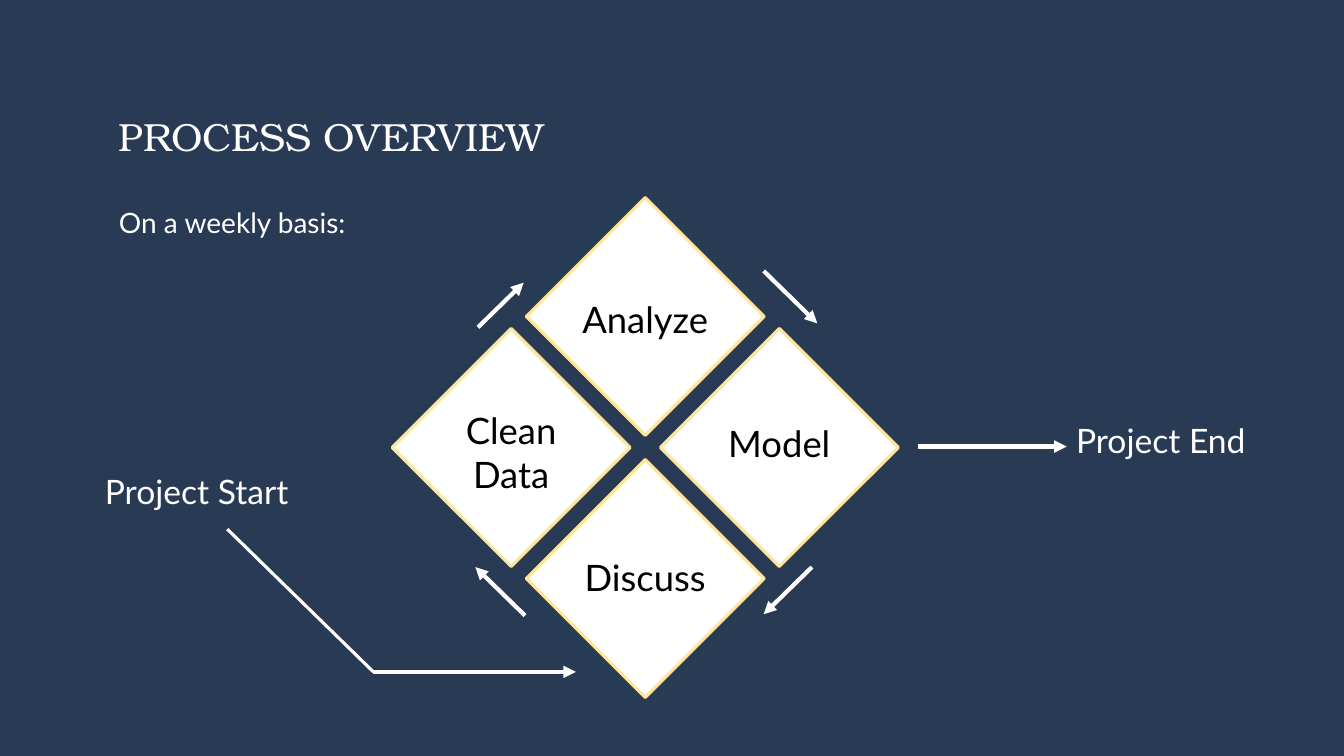
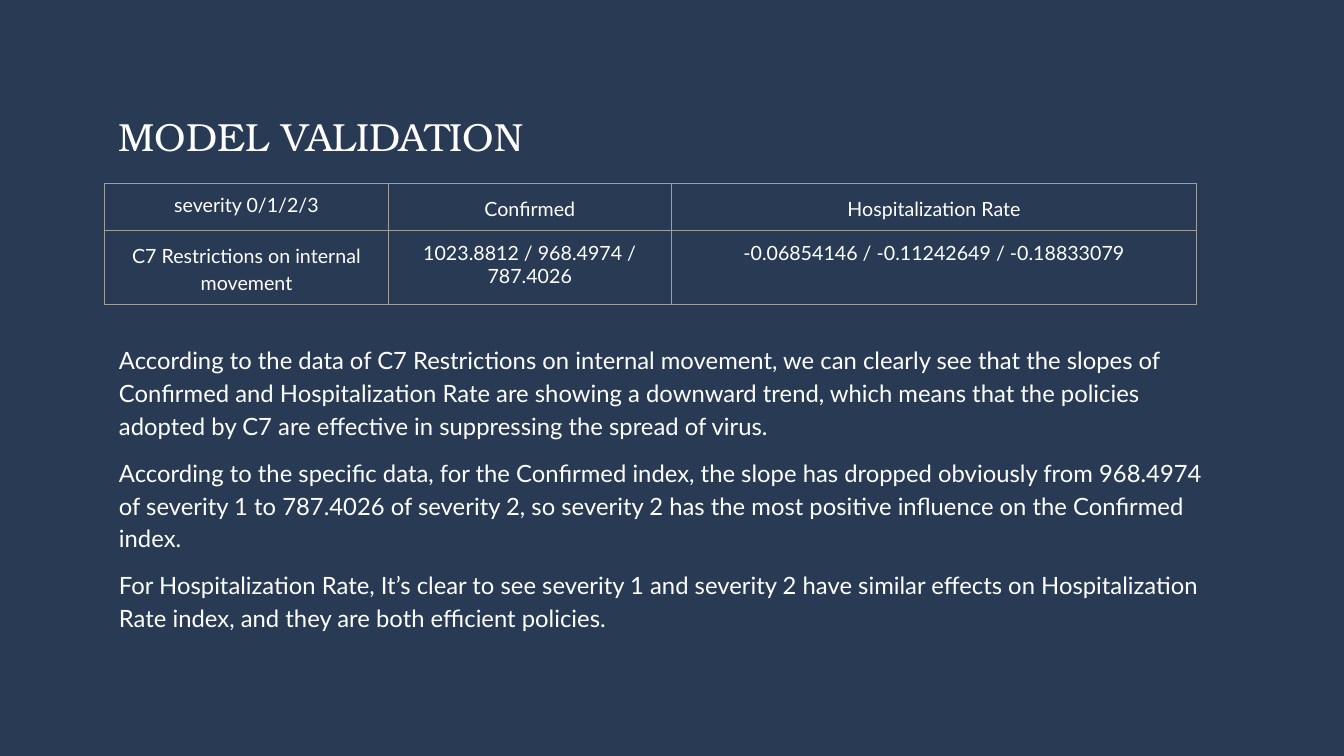
"""Build two slides: a weekly process cycle and a model validation table."""
import dataclasses
import typing

import lxml.etree
import pptx
import pptx.dml.color
import pptx.enum.shapes
import pptx.enum.text
import pptx.oxml.ns
import pptx.util

INCH = pptx.util.Inches
ALIGN = pptx.enum.text.PP_ALIGN
qn = pptx.oxml.ns.qn


@dataclasses.dataclass(frozen=True)
class Theme:
    """Colours, fonts and type sizes of the deck."""
    back: str = "293A54"
    white: str = "FFFFFF"
    black: str = "000000"
    gold: str = "FFE599"
    gray: str = "9E9E9E"
    serif: str = "TeX Gyre Bonum"
    sans: str = "Lato"
    title: float = 28
    step: float = 26
    label: float = 24
    intro: float = 20
    body: float = 17
    cell: float = 14
    bold: float = 3
    thin: float = 2.25
    hair: float = 0.75


@dataclasses.dataclass(frozen=True)
class Grid:
    """Columns and rows that hold the diamonds."""
    left: float = 3.89
    top: float = 1.96
    wide: float = 1.33
    high: float = 1.3

    def spot(self, col: float, row: float) -> tuple[int, int]:
        """Turn a column and a row into a point."""
        return INCH(self.left + col * self.wide), INCH(self.top + row * self.high)


class Step(typing.NamedTuple):
    """A diamond at a grid cell, its text set some rows below its top."""
    name: str
    col: float
    row: float
    drop: float


class Label(typing.NamedTuple):
    """A loose caption at a grid point."""
    name: str
    col: float
    row: float


class Line(typing.NamedTuple):
    """A line between two grid points."""
    start: tuple[float, float]
    end: tuple[float, float]
    width: float
    head: bool = True


THEME = Theme()
GRID = Grid()
SIZE = (13.33, 7.5)
SIDE = 2.36
PAD = 0.26

STEPS = (
    Step("Clean Data", 0, 1, 0.53),
    Step("Model", 2, 1, 0.63),
    Step("Analyze", 1, 0, 0.68),
    Step("Discuss", 1, 2, 0.65),
)
LABELS = (Label("Project Start", -2.38, 2.01), Label("Project End", 4.81, 1.62))
LINES = (
    Line((-0.14, 3.62), (1.37, 3.62), THEME.bold),
    Line((3.92, 1.9), (5.03, 1.9), THEME.bold),
    Line((0.99, 3.19), (0.62, 2.82), THEME.bold),
    Line((2.77, 0.56), (3.17, 0.96), THEME.bold),
    Line((0.64, 0.99), (0.98, 0.65), THEME.bold),
    Line((3.13, 2.82), (2.77, 3.18), THEME.bold),
    Line((-1.23, 2.53), (-0.14, 3.62), THEME.thin, False),
)
COLS = (2.81, 2.81, 5.21)
ROWS = (
    (("severity 0/1/2/3", 1), ("Confirmed", 1.15), ("Hospitalization Rate", 1.15)),
    (("C7 Restrictions on internal movement", 1.15),
     ("1023.8812 / 968.4974 / 787.4026", 1),
     ("-0.06854146 / -0.11242649 / -0.18833079", 1)),
)
NOTES = (
    "According to the data of C7 Restrictions on internal movement, we can clearly "
    "see that the slopes of Confirmed and Hospitalization Rate are showing a downward "
    "trend, which means that the policies adopted by C7 are effective in suppressing "
    "the spread of virus.",
    "According to the specific data, for the Confirmed index, the slope has dropped "
    "obviously from 968.4974 of severity 1 to 787.4026 of severity 2, so severity 2 "
    "has the most positive influence on the Confirmed index.",
    "For Hospitalization Rate, It’s clear to see severity 1 and severity 2 have "
    "similar effects on Hospitalization Rate index, and they are both efficient "
    "policies.",
)


def tint(code: str) -> pptx.dml.color.RGBColor:
    """Turn a hex code into a colour."""
    return pptx.dml.color.RGBColor.from_string(code)


def write(frame, text: str, size: float, color: str = THEME.white,
          font: str = THEME.sans, lead: float = 1, align=ALIGN.CENTER) -> None:
    """Fill a text frame and format its paragraphs and runs."""
    frame.text = text
    for para in frame.paragraphs:
        para.alignment = align
        para.line_spacing = lead
        para.space_before = pptx.util.Pt(10 if lead > 1 else 0)
        props = para._p.get_or_add_pPr()
        props.set("marL", "0")
        props.set("indent", "0")
        lxml.etree.SubElement(props, qn("a:buNone"))
        for run in para.runs:
            run.font.size = pptx.util.Pt(size)
            run.font.name = font
            run.font.color.rgb = tint(color)


def fit(frame, inset: float) -> None:
    """Wrap a frame from the top with equal insets."""
    frame.word_wrap = True
    frame.auto_size = pptx.enum.text.MSO_AUTO_SIZE.NONE
    frame.vertical_anchor = pptx.enum.text.MSO_ANCHOR.TOP
    frame.margin_left = frame.margin_right = INCH(inset)
    frame.margin_top = frame.margin_bottom = INCH(inset)


def place(shape, left: float, top: float, wide: float, high: float) -> None:
    """Move and size a shape in inches."""
    shape.left, shape.top = INCH(left), INCH(top)
    shape.width, shape.height = INCH(wide), INCH(high)


def start(deck, title: str, text: str, box: tuple, size: float, lead: float):
    """Add a slide with its title and body text."""
    slide = deck.slides.add_slide(deck.slide_layouts[1])
    head, body = slide.placeholders
    fit(head.text_frame, 0)
    write(head.text_frame, title, THEME.title, font=THEME.serif, align=ALIGN.LEFT)
    place(body, *box)
    fit(body.text_frame, 0)
    write(body.text_frame, text, size, lead=lead, align=ALIGN.LEFT)
    return slide


def add_text(slide, spot: tuple[int, int], wide: float, high: float, inset: float):
    """Add a wrapped text box and return its frame."""
    frame = slide.shapes.add_textbox(*spot, INCH(wide), INCH(high)).text_frame
    fit(frame, inset)
    return frame


def add_step(slide, step: Step) -> None:
    """Draw a diamond and its name."""
    left, top = GRID.spot(step.col, step.row)
    kind = pptx.enum.shapes.MSO_SHAPE.DIAMOND
    shape = slide.shapes.add_shape(kind, left, top, INCH(SIDE), INCH(SIDE))
    shape.shadow.inherit = False
    shape.fill.solid()
    shape.fill.fore_color.rgb = tint(THEME.white)
    shape.line.color.rgb = tint(THEME.gold)
    shape.line.width = pptx.util.Pt(THEME.thin)
    spot = left + INCH(PAD), GRID.spot(step.col, step.row + step.drop)[1]
    frame = add_text(slide, spot, SIDE - 2 * PAD, 0.72, 0.1)
    write(frame, step.name, THEME.step, THEME.black)


def add_label(slide, label: Label) -> None:
    """Draw a loose caption."""
    frame = add_text(slide, GRID.spot(label.col, label.row), 2.45, 0.6, 0)
    write(frame, label.name, THEME.label, lead=1.25)


def add_line(slide, line: Line) -> None:
    """Draw a line, with an arrowhead if it has one."""
    kind = pptx.enum.shapes.MSO_CONNECTOR.STRAIGHT
    ends = GRID.spot(*line.start) + GRID.spot(*line.end)
    link = slide.shapes.add_connector(kind, *ends)
    link.line.color.rgb = tint(THEME.white)
    link.line.width = pptx.util.Pt(line.width)
    if line.head:
        stroke = link.line._get_or_add_ln()
        lxml.etree.SubElement(stroke, qn("a:tailEnd"), type="triangle")
    lxml.etree.SubElement(link._element.spPr, qn("a:effectLst"))


def edge(cell) -> None:
    """Draw the four borders of a cell."""
    props = cell._tc.get_or_add_tcPr()
    width = str(pptx.util.Pt(THEME.hair))
    for side in ("L", "R", "T", "B"):
        rule = lxml.etree.SubElement(props, qn("a:ln" + side), w=width)
        fill = lxml.etree.SubElement(rule, qn("a:solidFill"))
        lxml.etree.SubElement(fill, qn("a:srgbClr"), val=THEME.gray)


def add_grid(slide) -> None:
    """Draw the table of slopes."""
    high = 0.42
    frame = slide.shapes.add_table(len(ROWS), len(COLS), INCH(1.04), INCH(1.82),
                                   INCH(sum(COLS)), INCH(high * len(ROWS)))
    table = frame.table
    table.first_row = table.horz_banding = False
    for col, wide in zip(table.columns, COLS):
        col.width = INCH(wide)
    for row, data in zip(table.rows, ROWS):
        for cell, (text, lead) in zip(row.cells, data):
            edge(cell)
            cell.fill.background()
            cell.margin_left = cell.margin_right = INCH(0.1)
            cell.margin_top = cell.margin_bottom = INCH(0.1)
            write(cell.text_frame, text, THEME.cell, lead=lead)


def setup():
    """Make a deck with the shared size, backdrop and title place."""
    deck = pptx.Presentation()
    deck.slide_width, deck.slide_height = map(INCH, SIZE)
    fill = deck.slide_master.background.fill
    fill.solid()
    fill.fore_color.rgb = tint(THEME.back)
    place(deck.slide_layouts[1].placeholders[0], 1.18, 1.11, 10.97, 0.72)
    return deck


def main() -> None:
    """Build and save the deck."""
    deck = setup()
    cycle = start(deck, "PROCESS OVERVIEW", "On a weekly basis:",
                  (1.18, 1.96, 2.45, 0.6), THEME.intro, 1.25)
    for draw, items in ((add_step, STEPS), (add_line, LINES), (add_label, LABELS)):
        for item in items:
            draw(cycle, item)
    check = start(deck, "MODEL VALIDATION", "\n".join(NOTES),
                  (1.18, 3.39, 10.97, 4.35), THEME.body, 1.15)
    add_grid(check)
    deck.save("out.pptx")


if __name__ == "__main__":
    main()
